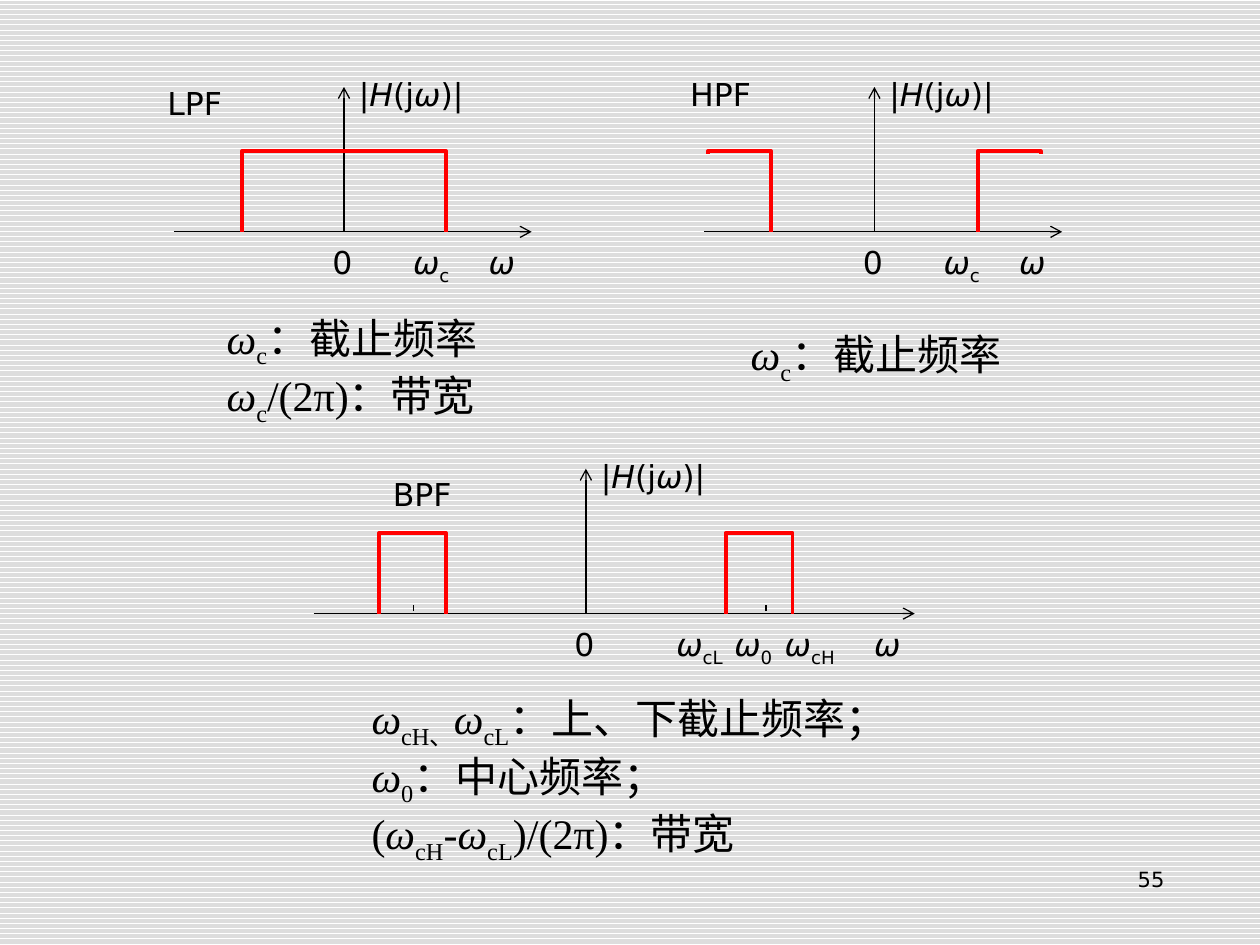
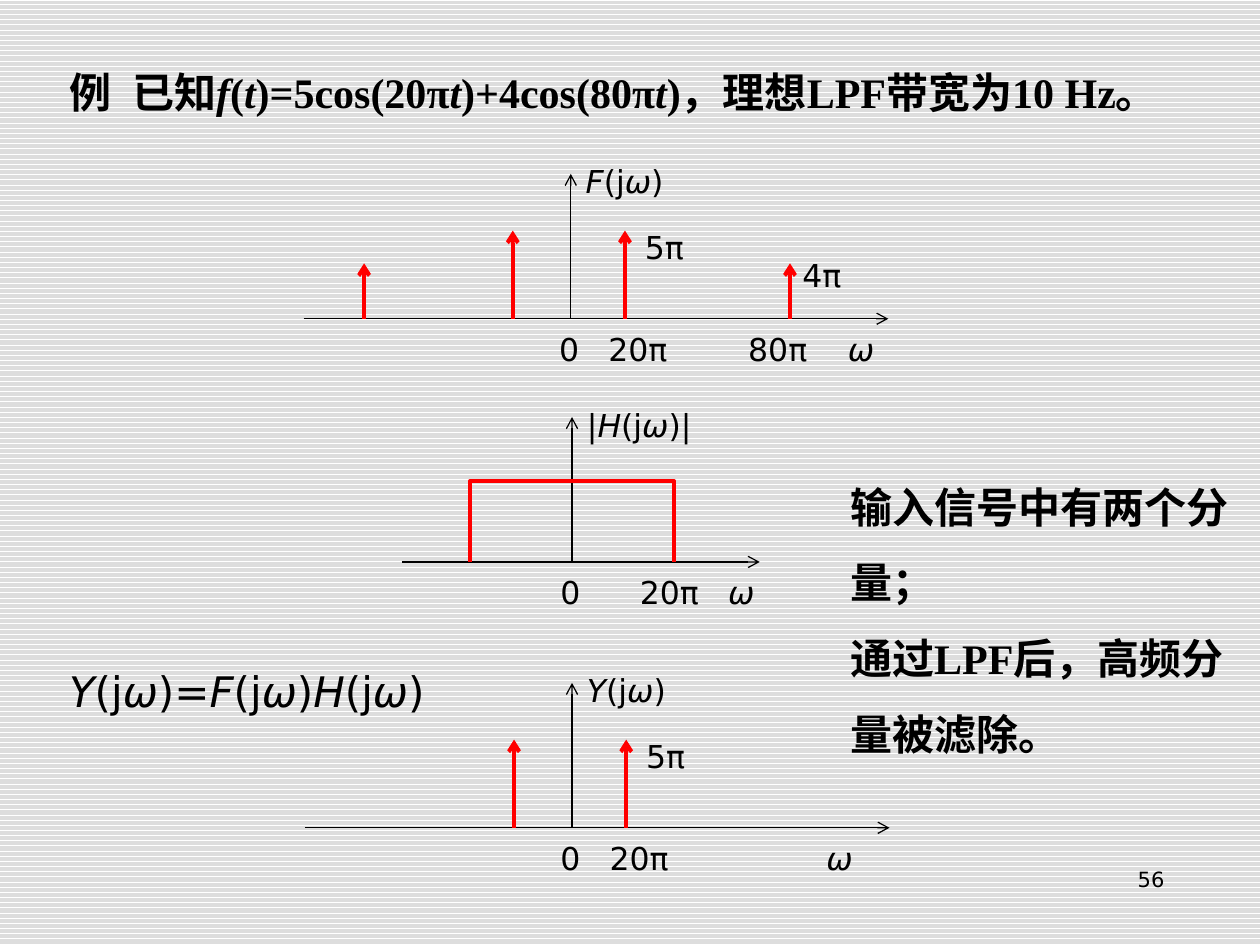
from pptx import Presentation
from pptx.dml.color import RGBColor
from pptx.enum.dml import MSO_PATTERN
from pptx.enum.shapes import MSO_CONNECTOR
from pptx.enum.text import MSO_AUTO_SIZE, PP_ALIGN
from pptx.oxml.ns import qn
from pptx.util import Inches, Pt
from lxml.etree import SubElement

COLORS = {"ink": "000000", "signal": "FF0000", "paper": "FFFFFF", "stripe": "DDDDDD"}
SANS = "DejaVu Sans"
SERIF = "Times New Roman"
LABEL = {"name": SANS, "size": Pt(18)}
FORMULA = {"name": SANS, "size": Pt(24)}
NOTE = {"name": SERIF, "size": Pt(24)}
STATEMENT = {"name": SERIF, "size": Pt(24), "bold": True}
MAGNITUDE = "|*H*(j*ω*)|"
AXIS_HEIGHT = 1.15
BAND_HEIGHT = 0.64
SHORT_AXIS = (-1.35, 1.49)
LONG_AXIS = (-2.12, 2.52)


def color(name):
    return RGBColor.from_string(COLORS[name])


def apply_format(target, values):
    for name, value in values.items():
        setattr(target, name, value)


def add_runs(paragraph, markup, font_values):
    for italic_index, chunk in enumerate(markup.split("*")):
        for subscript_index, piece in enumerate(chunk.split("_")):
            if not piece:
                continue
            run = paragraph.add_run()
            run.text = piece
            apply_format(run.font, font_values)
            run.font.color.rgb = color("ink")
            if italic_index % 2:
                run.font.italic = True
            if subscript_index % 2:
                run.font._element.set("baseline", "-25000")


def add_tabs(paragraph, positions):
    tab_list = SubElement(paragraph._p.get_or_add_pPr(), qn("a:tabLst"))
    for position in positions:
        SubElement(tab_list, qn("a:tab"), pos=str(Inches(position)), algn="l")


def add_text(slide, box, lines, font_values, paragraph_values={}, tabs=()):
    shape = slide.shapes.add_textbox(*map(Inches, box))
    frame = shape.text_frame
    apply_format(frame, {"word_wrap": True, "auto_size": MSO_AUTO_SIZE.SHAPE_TO_FIT_TEXT})
    for index, markup in enumerate(lines):
        paragraph = frame.add_paragraph() if index else frame.paragraphs[0]
        if tabs:
            add_tabs(paragraph, tabs)
        apply_format(paragraph, paragraph_values)
        add_runs(paragraph, markup, font_values)


def add_line(slide, start, end, line_color="ink", width=0.75, arrow=True):
    connector = slide.shapes.add_connector(
        MSO_CONNECTOR.STRAIGHT, *map(Inches, (*start, *end)))
    connector.line.color.rgb = color(line_color)
    connector.line.width = Pt(width)
    if arrow:
        SubElement(connector.line._get_or_add_ln(), qn("a:tailEnd"), type="arrow")
    SubElement(connector._element.spPr, qn("a:effectLst"))


def add_plot(slide, origin, extent, heading, axis_labels, tabs):
    x, y = origin
    left, right = extent
    add_line(slide, (x + left, y), (x + right, y))
    add_line(slide, (x, y), (x, y - AXIS_HEIGHT))
    add_text(slide, (x + 0.02, y - 1.29, 1.16, 0.4), [heading], LABEL)
    add_text(slide, (x - 0.19, y + 0.04, right + 0.55, 0.4),
             ["\t".join(axis_labels)], LABEL, tabs=tabs)


def add_band(slide, origin, start, end, drop=BAND_HEIGHT):
    x, y = origin
    top = y - BAND_HEIGHT
    points = [(x + start, y), (x + start, top), (x + end, top), (x + end, top + drop)]
    corners = [tuple(map(Inches, point)) for point in points]
    builder = slide.shapes.build_freeform(*corners[0])
    builder.add_line_segments(corners[1:], close=False)
    shape = builder.convert_to_shape()
    shape.shadow.inherit = False
    shape.fill.background()
    shape.line.color.rgb = color("signal")
    shape.line.width = Pt(2.25)


def add_impulses(slide, origin, impulses):
    x, y = origin
    for offset, height in impulses:
        add_line(slide, (x + offset, y), (x + offset, y - height), "signal", 2.25)


def add_impulse_label(slide, origin, offset, rise, text):
    x, y = origin
    add_text(slide, (x + offset, y - rise, 0.7, 0.4), [text], LABEL)


def add_slide(presentation, number):
    slide = presentation.slides.add_slide(presentation.slide_layouts[6])
    add_text(slide, (7.17, 6.83, 2.17, 0.52), [str(number)],
             {"name": SANS, "size": Pt(12)}, {"alignment": PP_ALIGN.RIGHT})
    return slide


def build_filter_types(presentation):
    slide = add_slide(presentation, 55)
    low_pass, high_pass, band_pass = (2.73, 1.84), (6.94, 1.84), (4.65, 4.87)
    for origin in (low_pass, high_pass):
        add_plot(slide, origin, SHORT_AXIS, MAGNITUDE, ["0", "*ω*_c_", "*ω*"], (0.64, 1.24))
    add_plot(slide, band_pass, (-2.16, 2.61), MAGNITUDE,
             ["0", "*ω*_cL_", "*ω*_0_", "*ω*_cH_", "*ω*"], (0.81, 1.27, 1.67, 2.38))

    add_band(slide, low_pass, -0.81, 0.81)
    for side in (-1, 1):
        add_band(slide, high_pass, 0.82 * side, 1.32 * side, 0.02)
        add_band(slide, band_pass, 1.11 * side, 1.64 * side)
    for offset in (-1.37, 1.43):
        x, y = band_pass[0] + offset, band_pass[1]
        add_line(slide, (x, y - 0.02), (x, y - 0.07), arrow=False)

    names = {"LPF": (1.23, 0.62), "HPF": (5.38, 0.55), "BPF": (3.02, 3.72)}
    for name, position in names.items():
        add_text(slide, (*position, 1.1, 0.4), [name], LABEL)
    cutoff = "*ω*_c_：截止频率"
    add_text(slide, (1.7, 2.43, 2.51, 0.91), [cutoff, "*ω*_c_/(2π)：带宽"], NOTE)
    add_text(slide, (5.86, 2.56, 2.51, 0.5), [cutoff], NOTE)
    add_text(slide, (2.85, 5.45, 4.39, 1.31), [
        "*ω*_cH、_*ω*_cL_：上、下截止频率；",
        "*ω*_0_：中心频率；",
        "(*ω*_cH_-*ω*_cL_)/(2π)：带宽",
    ], NOTE)


def build_filter_example(presentation):
    slide = add_slide(presentation, 56)
    spaced = {"line_spacing": 1.5}
    add_text(slide, (0.45, 0.28, 9.1, 0.7),
             ["例\t已知*f*(*t*)=5cos(20π*t*)+4cos(80π*t*)，理想LPF带宽为10 Hz。"],
             STATEMENT, spaced, (0.5,))

    source, response, result = (4.53, 2.53), (4.54, 4.46), (4.54, 6.57)
    add_plot(slide, source, LONG_AXIS, "*F*(j*ω*)",
             ["0", "20π", "80π", "*ω*"], (0.39, 1.5, 2.29))
    add_plot(slide, response, SHORT_AXIS, MAGNITUDE, ["0", "20π", "*ω*"], (0.63, 1.33))
    add_plot(slide, result, LONG_AXIS, "*Y*(j*ω*)", ["0", "20π", "*ω*"], (0.39, 2.11))

    passed = [(-0.46, 0.7), (0.43, 0.7)]
    removed = [(-1.64, 0.44), (1.74, 0.44)]
    add_impulses(slide, source, passed + removed)
    add_band(slide, response, -0.81, 0.81)
    add_impulses(slide, result, passed)
    for origin in (source, result):
        add_impulse_label(slide, origin, 0.49, 0.77, "5π")
    add_impulse_label(slide, source, 1.74, 0.55, "4π")

    add_text(slide, (0.45, 5.23, 3.16, 0.5), ["*Y*(j*ω*)=*F*(j*ω*)*H*(j*ω*)"], FORMULA)
    add_text(slide, (6.65, 3.57, 3.2, 2.52),
             ["输入信号中有两个分量；", "通过LPF后，高频分量被滤除。"], STATEMENT, spaced)


def style_master(presentation):
    fill = presentation.slide_master.background.fill
    fill.patterned()
    fill.pattern = MSO_PATTERN.DARK_HORIZONTAL
    fill.fore_color.rgb = color("stripe")
    fill.back_color.rgb = color("paper")


def main():
    presentation = Presentation()
    apply_format(presentation, {"slide_width": Inches(10), "slide_height": Inches(7.5)})
    style_master(presentation)
    build_filter_types(presentation)
    build_filter_example(presentation)
    presentation.save("out.pptx")


if __name__ == "__main__":
    main()
